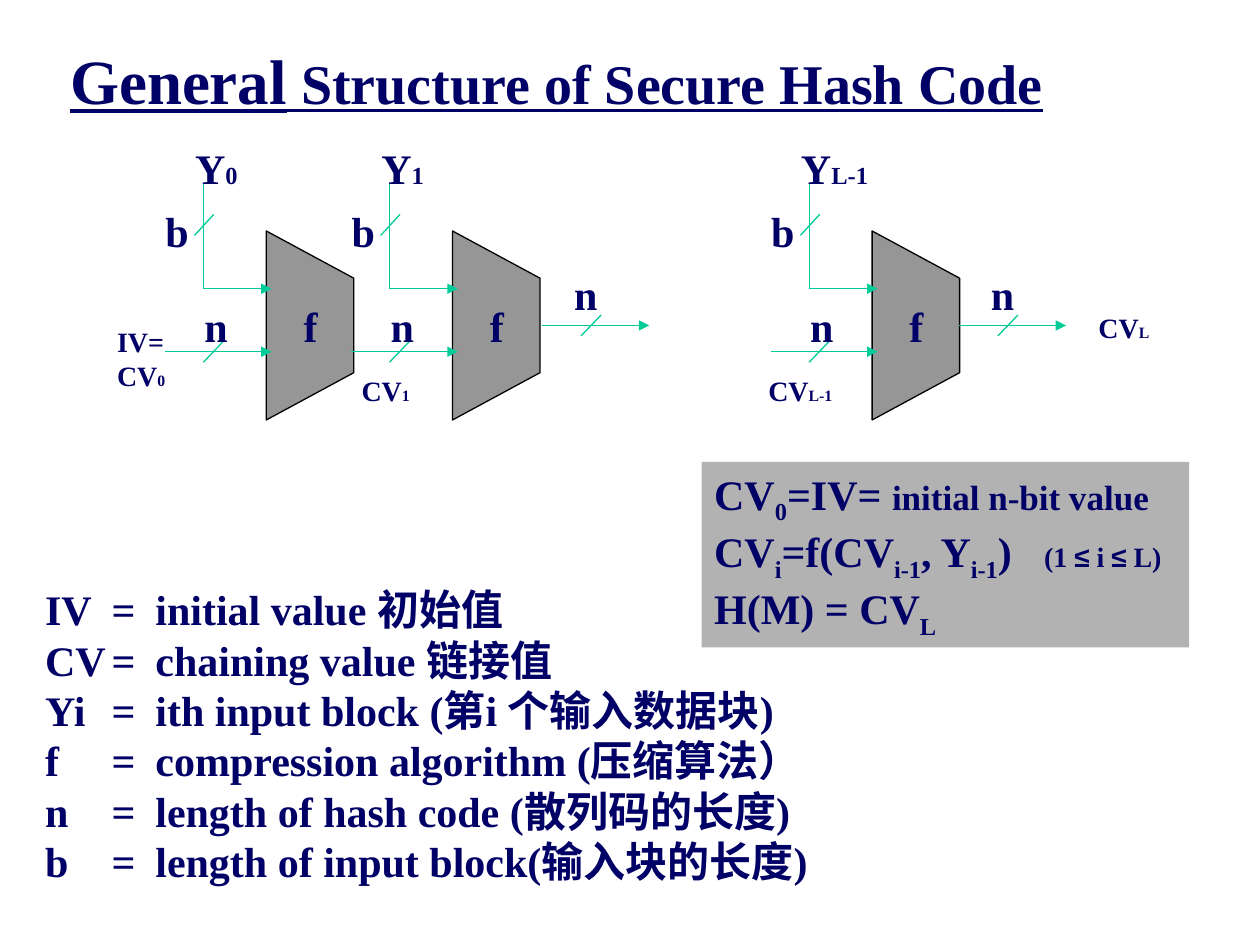
from lxml import etree
from pptx import Presentation
from pptx.dml.color import RGBColor
from pptx.enum.shapes import MSO_CONNECTOR, MSO_SHAPE
from pptx.enum.text import MSO_ANCHOR, PP_ALIGN
from pptx.oxml.ns import qn
from pptx.util import Pt

STRAIGHT = MSO_CONNECTOR.STRAIGHT
RECTANGLE = MSO_SHAPE.RECTANGLE
LEFT = PP_ALIGN.LEFT
TOP = MSO_ANCHOR.TOP
color = RGBColor.from_string
NAVY, GREEN, GRAY, LIGHT_GRAY, BLACK = "000066", "00CC99", "969696", "B2B2B2", "000000"
SERIF, SANS = "Times New Roman", "Arial"

presentation = Presentation()
presentation.slide_width, presentation.slide_height = Pt(720), Pt(540)
slide = presentation.slides.add_slide(presentation.slide_layouts[6])
shapes = slide.shapes


def add_line(x1, y1, x2, y2, arrow=False):
    line = shapes.add_connector(STRAIGHT, Pt(x1), Pt(y1), Pt(x2), Pt(y2))
    line.line.color.rgb = color(GREEN)
    line.line.width = Pt(0.75)
    if arrow:
        etree.SubElement(line.line._get_or_add_ln(), qn("a:tailEnd"), type="triangle")
    etree.SubElement(line._element.spPr, qn("a:effectLst"))


def write_text(shape, paragraphs, tabs=(), wrap=False):
    """Each paragraph is a list of runs: (text, size, baseline percent, font)."""
    frame = shape.text_frame
    frame.word_wrap = wrap
    frame.vertical_anchor = TOP
    for index, runs in enumerate(paragraphs):
        paragraph = frame.add_paragraph() if index else frame.paragraphs[0]
        paragraph.alignment = LEFT
        if tabs:
            tab_list = etree.SubElement(paragraph._p.get_or_add_pPr(), qn("a:tabLst"))
            for position in tabs:
                etree.SubElement(tab_list, qn("a:tab"), pos=str(Pt(position)), algn="l")
        paragraph.font.bold = True
        paragraph.font.color.rgb = color(NAVY)
        for text, size, *extra in runs:
            run = paragraph.add_run()
            run.text = text
            run.font.size = Pt(size)
            run.font.name = extra[1] if len(extra) > 1 else SERIF
            if extra and extra[0]:
                run.font._element.set("baseline", str(extra[0] * 1000))
    return frame


# Title
title = shapes.add_textbox(Pt(33), Pt(20), Pt(572), Pt(50.5))
title_frame = write_text(title, [[("General", 36), (" Structure of Secure Hash Code", 32)]])
title_frame.paragraphs[0].font.underline = True

# Labels: left, top, width, height, paragraphs
labels = [
    (59.8, 182, 46, 46, [[("IV=", 16)], [("CV", 16), ("0", 9)]]),
    (199.5, 210, 46, 26.6, [[("CV", 16), ("1", 9)]]),
    (432, 210, 56, 26.6, [[("CV", 16), ("L-1", 9)]]),
    (620.6, 174, 48, 26.6, [[("CV", 16), ("L", 9)]]),
]
# n-bit wires: start, height, label offset right and up
wires = [(310, 186, 11, 36), (548.2, 186, 11, 36)]

# Compression stages
for left, index, index_width in ((152.2, "0", 42), (258.6, "1", 42), (498.4, "L-1", 60)):
    builder = shapes.build_freeform(Pt(left), Pt(240), scale=1.0)
    builder.add_line_segments(
        [(Pt(left + 50), Pt(213)), (Pt(left + 50), Pt(159)), (Pt(left), Pt(132))], close=True)
    block = builder.convert_to_shape()
    block.shadow.inherit = False
    block.fill.solid()
    block.fill.fore_color.rgb = color(GRAY)
    block.line.color.rgb = color(BLACK)
    block.line.width = Pt(0.75)

    # Message block input
    add_line(left - 36, 104.5, left - 36, 165)
    add_line(left - 36, 165, left + 3, 165, arrow=True)
    add_line(left - 30, 122.5, left - 41, 134.5)
    labels += [
        (left - 64.8, 114, 27, 36, [[("b", 24)]]),
        (left - 47.8, 78, index_width, 36, [[("Y", 24), (index, 14)]]),
        (left + 14.2, 168, 23, 36, [[("f", 24)]]),
    ]
    wires.append((left - 58, 201, 15.5, 33))

for left, height, label_right, label_up in wires:
    add_line(left, height, left + 61, height, arrow=True)
    add_line(left + 22, height + 6, left + 33.5, height - 6)
    labels.append((left + label_right, height - label_up, 28, 36, [[("n", 24)]]))

for left, top, width, height, paragraphs in labels:
    label = shapes.add_textbox(Pt(left), Pt(top), Pt(width), Pt(height))
    write_text(label, paragraphs, wrap=True)

# Notation
definitions = [
    ("IV", "initial value 初始值"),
    ("CV", "chaining value 链接值"),
    ("Yi", "ith input block (第i 个输入数据块)"),
    ("f", "compression algorithm (压缩算法）"),
    ("n", "length of hash code (散列码的长度)"),
    ("b", "length of input block(输入块的长度)"),
]
notation = shapes.add_textbox(Pt(18.7), Pt(330), Pt(470), Pt(180))
write_text(notation, [[(f"{symbol}\t=\t{meaning}", 24)] for symbol, meaning in definitions],
           tabs=(38, 63), wrap=True)

# Formulas
formulas = shapes.add_shape(RECTANGLE, Pt(401), Pt(264), Pt(278.5), Pt(106))
formulas.shadow.inherit = False
formulas.fill.solid()
formulas.fill.fore_color.rgb = color(LIGHT_GRAY)
formulas.line.fill.background()
write_text(formulas, [
    [("CV", 24), ("0", 24, -25), ("=IV= ", 24), ("initial n-bit value", 20)],
    [("CV", 24), ("i", 24, -25), ("=f(CV", 24), ("i-1", 24, -25), (", Y", 24),
     ("i-1", 24, -25), (")\t", 24), ("(1 ", 16), ("≤", 16, 0, SANS), (" i ", 16),
     ("≤", 16, 0, SANS), (" L)", 16)],
    [("H(M) = CV", 24), ("L", 24, -25)],
], tabs=(188.5,), wrap=True)

presentation.save("out.pptx")
